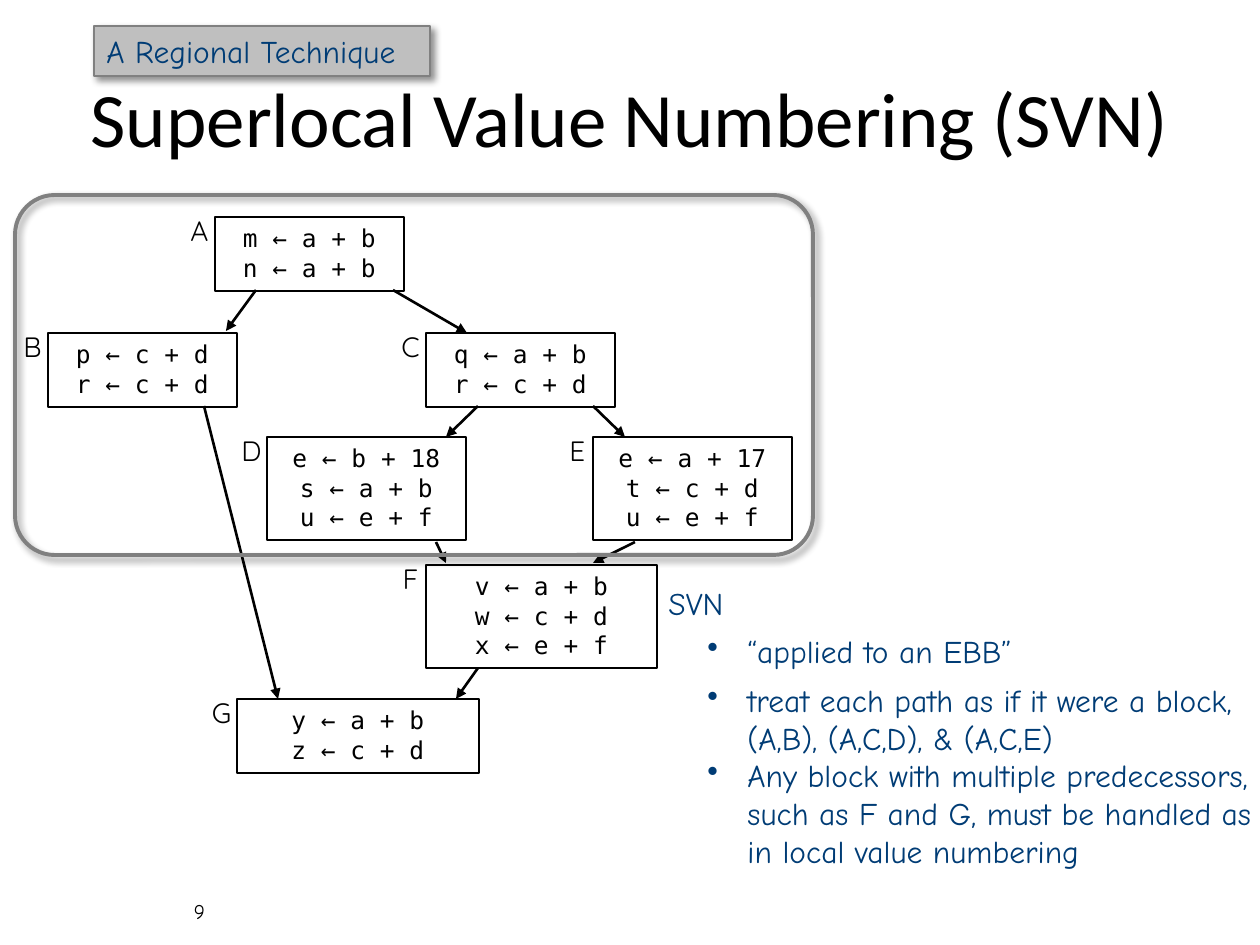
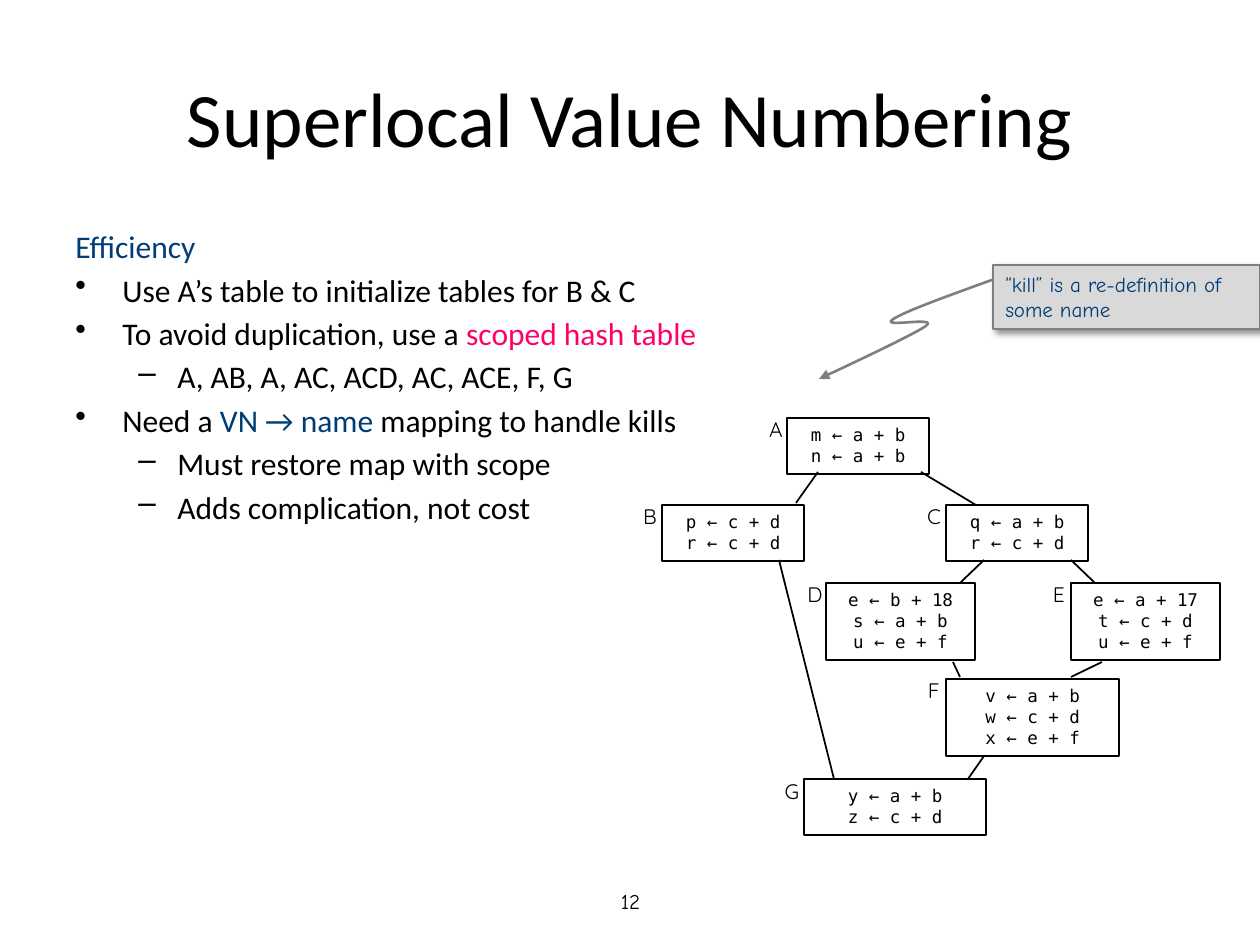
"""Two slides on superlocal value numbering that share one flow graph."""
from lxml import etree
from pptx import Presentation
from pptx.dml.color import RGBColor
from pptx.enum.shapes import MSO_CONNECTOR, MSO_SHAPE
from pptx.enum.text import MSO_ANCHOR, PP_ALIGN
from pptx.oxml.ns import qn
from pptx.util import Emu, Pt

EMU_PER_PX = 914400 / 126
BLACK, NAVY, PINK, GRAY = "000000", "003C75", "FF0065", "808080"
TITLE_FONT, NOTE_FONT = "Calibri", "Comic Neue"
CODE_FONT, LABEL_FONT = "DejaVu Sans Mono", "Quicksand"

BLOCKS = {
    "A": (215, 217, 189, 74, ["m ← a + b", "n ← a + b"]),
    "B": (48, 333, 189, 74, ["p ← c + d", "r ← c + d"]),
    "C": (426, 333, 189, 74, ["q ← a + b", "r ← c + d"]),
    "D": (267, 437, 199, 103, ["e ← b + 18", "s ← a + b", "u ← e + f"]),
    "E": (593, 437, 199, 103, ["e ← a + 17", "t ← c + d", "u ← e + f"]),
    "F": (426, 565, 231, 103, ["v ← a + b", "w ← c + d", "x ← e + f"]),
    "G": (237, 699, 242, 74, ["y ← a + b", "z ← c + d"]),
}
EDGES = [
    (256, 290, 226, 331),
    (393, 290, 467, 333),
    (478, 406, 446, 437),
    (593, 406, 625, 437),
    (204, 406, 278, 699),
    (436, 542, 446, 563),
    (635, 542, 593, 563),
    (478, 668, 456, 699),
]
KILL_CURVES = [
    [(992, 280), (948, 296), (903, 312), (892, 320)],
    [(892, 320), (882, 328), (939, 316), (926, 326)],
    [(926, 326), (914, 335), (819, 379), (819, 379)],
]


def px(length):
    """Turn pixels into EMU."""
    return Emu(round(length * EMU_PER_PX))


def color(hex_string):
    """Turn a hex string into a colour."""
    return RGBColor.from_string(hex_string)


def add_run(paragraph, text, font, size, hex_string):
    """Add one run of formatted text."""
    run = paragraph.add_run()
    run.text = text
    run.font.name = font
    run.font.size = Pt(size)
    run.font.color.rgb = color(hex_string)


def set_bullet(paragraph, left, indent, character=None):
    """Set a hanging indent and an optional bullet character."""
    properties = paragraph._p.get_or_add_pPr()
    properties.set("marL", str(px(left)))
    properties.set("indent", str(px(indent)))
    if character:
        etree.SubElement(properties, qn("a:buChar")).set("char", character)


def write_lines(frame, lines, font, size, hex_string, align=PP_ALIGN.CENTER):
    """Write one plain paragraph for each line."""
    for index, line in enumerate(lines):
        paragraph = frame.paragraphs[0] if index == 0 else frame.add_paragraph()
        paragraph.alignment = align
        add_run(paragraph, line, font, size, hex_string)


def write_list(frame, items, font, size):
    """Write indented paragraphs given as (left, indent, bullet, space, runs)."""
    for index, (left, indent, bullet, space, runs) in enumerate(items):
        paragraph = frame.paragraphs[0] if index == 0 else frame.add_paragraph()
        set_bullet(paragraph, left, indent, bullet)
        if index:
            paragraph.space_before = Pt(space)
        for text, hex_string in runs:
            add_run(paragraph, text, font, size, hex_string)


def add_text_box(slide, left, top, width, height, anchor=MSO_ANCHOR.TOP):
    """Add a wrapping text box and return its text frame."""
    box = slide.shapes.add_textbox(px(left), px(top), px(width), px(height))
    box.text_frame.word_wrap = True
    box.text_frame.vertical_anchor = anchor
    return box.text_frame


def add_box(slide, kind, place, line_color, line_width, fill=None):
    """Add an outlined preset shape without shadow."""
    shape = slide.shapes.add_shape(kind, *(px(length) for length in place))
    shape.shadow.inherit = False
    if fill:
        shape.fill.solid()
        shape.fill.fore_color.rgb = color(fill)
    else:
        shape.fill.background()
    shape.line.color.rgb = color(line_color)
    shape.line.width = Pt(line_width)
    shape.text_frame.word_wrap = True
    shape.text_frame.vertical_anchor = MSO_ANCHOR.TOP
    return shape


def add_shadow(shape):
    """Give a shape a soft shadow to the lower right."""
    effects = shape._element.spPr.find(qn("a:effectLst"))
    shadow = etree.SubElement(
        effects, qn("a:outerShdw"), blurRad=str(Pt(4)), dist=str(Pt(3)),
        dir="2700000", algn="tl", rotWithShape="0")
    shade = etree.SubElement(shadow, qn("a:srgbClr"), val=BLACK)
    etree.SubElement(shade, qn("a:alpha"), val="43000")


def add_arrowhead(shape):
    """Put a triangle at the end of a line."""
    line = shape.line._get_or_add_ln()
    etree.SubElement(line, qn("a:tailEnd"), type="triangle")


def add_edge(slide, ends, line_width, arrow):
    """Add a straight flow edge."""
    edge = slide.shapes.add_connector(
        MSO_CONNECTOR.STRAIGHT, *(px(length) for length in ends))
    edge.line.color.rgb = color(BLACK)
    edge.line.width = Pt(line_width)
    if arrow:
        add_arrowhead(edge)
    etree.SubElement(edge._element.spPr, qn("a:effectLst"))


def add_flow_graph(slide, left, top, scale, code_size, label_size, line_width, arrows):
    """Draw the labelled blocks and their edges, moved and scaled."""
    def place(*lengths):
        """Map alternating x and y positions onto the slide."""
        return [round((left, top)[i % 2] + n * scale) for i, n in enumerate(lengths)]

    for name, (x, y, width, height, code) in BLOCKS.items():
        size = [round(width * scale), round(height * scale)]
        block = add_box(slide, MSO_SHAPE.RECTANGLE, place(x, y) + size, BLACK, line_width)
        write_lines(block.text_frame, code, CODE_FONT, code_size, BLACK)
        label = add_text_box(slide, *place(x - 42, y - 10),
                             round(53 * scale), round(47 * scale))
        label.margin_left = label.margin_right = 0
        write_lines(label, [name], LABEL_FONT, label_size, BLACK)
    for ends in EDGES:
        add_edge(slide, place(*ends), line_width, arrows)


def add_note(slide, place, text, size, line_color, fill):
    """Add a shaded note with a shadow."""
    note = add_box(slide, MSO_SHAPE.RECTANGLE, place, line_color, 1.5, fill)
    add_shadow(note)
    write_lines(note.text_frame, [text], NOTE_FONT, size, NAVY, PP_ALIGN.LEFT)


def curve_points(start, first, second, end, steps=16):
    """Return points in EMU along a cubic curve."""
    points = []
    for step in range(1, steps + 1):
        t = step / steps
        weights = ((1 - t) ** 3, 3 * t * (1 - t) ** 2, 3 * t * t * (1 - t), t ** 3)
        corners = (start, first, second, end)
        points.append(tuple(
            px(sum(weight * corner[axis] for weight, corner in zip(weights, corners)))
            for axis in (0, 1)))
    return points


def add_curved_arrow(slide, curves):
    """Add a curved arrow that runs through joined curves."""
    start_x, start_y = curves[0][0]
    builder = slide.shapes.build_freeform(px(start_x), px(start_y))
    for curve in curves:
        builder.add_line_segments(curve_points(*curve), close=False)
    arrow = builder.convert_to_shape()
    arrow.shadow.inherit = False
    arrow.fill.background()
    arrow.line.color.rgb = color("7F7F7F")
    arrow.line.width = Pt(1.5)
    add_arrowhead(arrow)


def add_slide(presentation, title, number, number_left, number_top):
    """Add a blank slide with its title and page number."""
    slide = presentation.slides.add_slide(presentation.slide_layouts[6])
    page = add_text_box(slide, number_left, number_top, 399, 50, MSO_ANCHOR.MIDDLE)
    write_lines(page, [number], NOTE_FONT, 12, BLACK)
    heading = add_text_box(slide, 63, 38, 1134, 158, MSO_ANCHOR.MIDDLE)
    write_lines(heading, [title], TITLE_FONT, 44, BLACK)
    return slide


def build_technique_slide(presentation):
    """Build the slide that shows the extended basic block."""
    slide = add_slide(presentation, "Superlocal Value Numbering (SVN)", "9", 0, 886)
    add_flow_graph(slide, 0, 0, 1, 14, 16, 1.5, True)
    region = add_box(slide, MSO_SHAPE.ROUNDED_RECTANGLE, (15, 195, 798, 360), GRAY, 2.25)
    region.adjustments[0] = 0.11
    add_shadow(region)
    add_note(slide, (94, 26, 336, 50), "A Regional Technique", 18, GRAY, "BFBFBF")
    bullet = (79, -40, "•")
    write_list(add_text_box(slide, 656, 578, 626, 339), [
        (0, 0, None, 0, [("SVN", NAVY)]),
        (*bullet, 6, [("“applied to an EBB”", NAVY)]),
        (*bullet, 6, [("treat each path as if it were a block, "
                       "(A,B), (A,C,D), & (A,C,E)", NAVY)]),
        (*bullet, 0, [("Any block with multiple predecessors, such as F and G, "
                       "must be handled as in local value numbering", NAVY)]),
    ], NOTE_FONT, 18)


def build_efficiency_slide(presentation):
    """Build the slide on scoped tables and kills."""
    slide = add_slide(presentation, "Superlocal Value Numbering", "12", 431, 876)
    space = 3.2
    bullet = (47, -47, "•", space)
    dash = (102, -39, "–", space)
    write_list(add_text_box(slide, 63, 221, 1134, 624), [
        (47, -47, None, 0, [("Efficiency", NAVY)]),
        (*bullet, [("Use A’s table to initialize tables for B & C", BLACK)]),
        (*bullet, [("To avoid duplication, use a ", BLACK),
                   ("scoped hash table", PINK)]),
        (*dash, [("A, AB, A, AC, ACD, AC, ACE, F, G", BLACK)]),
        (*bullet, [("Need a ", BLACK), ("VN → name ", NAVY),
                   ("mapping to handle kills", BLACK)]),
        (*dash, [("Must restore map with scope", BLACK)]),
        (*dash, [("Adds complication, not cost", BLACK)]),
    ], TITLE_FONT, 18)
    add_flow_graph(slide, 626, 255, 0.75, 10, 12, 1, False)
    add_note(slide, (993, 265, 267, 64), "“kill” is a re-definition of some name",
             12, "7F7F7F", "D9D9D9")
    add_curved_arrow(slide, KILL_CURVES)


def main():
    """Build and save the presentation."""
    presentation = Presentation()
    presentation.slide_width = px(1260)
    presentation.slide_height = px(945)
    build_technique_slide(presentation)
    build_efficiency_slide(presentation)
    presentation.save("out.pptx")


if __name__ == "__main__":
    main()
